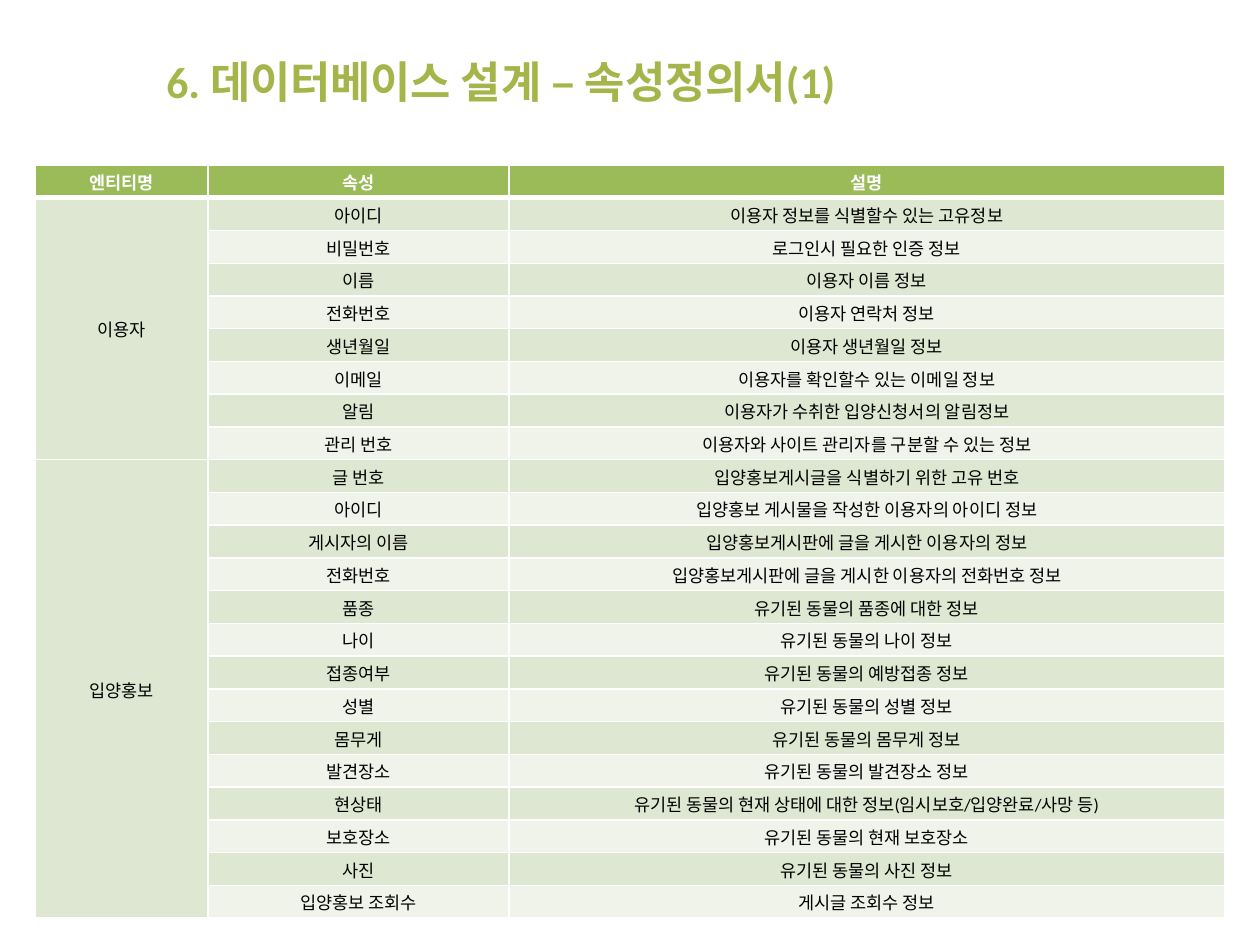
from lxml import etree
from pptx import Presentation
from pptx.dml.color import RGBColor
from pptx.enum.text import MSO_ANCHOR, PP_ALIGN
from pptx.oxml.ns import qn
from pptx.util import Inches, Pt

MIDDLE = MSO_ANCHOR.MIDDLE
LEFT, CENTER = PP_ALIGN.LEFT, PP_ALIGN.CENTER

OLIVE = RGBColor(0xA5, 0xB5, 0x4A)
GREEN = RGBColor(0x9B, 0xBB, 0x59)
BAND_DARK = RGBColor(0xDE, 0xE7, 0xD1)
BAND_LIGHT = RGBColor(0xEF, 0xF3, 0xEA)
WHITE = RGBColor(0xFF, 0xFF, 0xFF)
BLACK = RGBColor(0, 0, 0)

HEADERS = ("엔티티명", "속성", "설명")
ENTITIES = {
    "이용자": [
        ("아이디", "이용자 정보를 식별할수 있는 고유정보"),
        ("비밀번호", "로그인시 필요한 인증 정보"),
        ("이름", "이용자 이름 정보"),
        ("전화번호", "이용자 연락처 정보"),
        ("생년월일", "이용자 생년월일 정보"),
        ("이메일", "이용자를 확인할수 있는 이메일 정보"),
        ("알림", "이용자가 수취한 입양신청서의 알림정보"),
        ("관리 번호", "이용자와 사이트 관리자를 구분할 수 있는 정보"),
    ],
    "입양홍보": [
        ("글 번호", "입양홍보게시글을 식별하기 위한 고유 번호"),
        ("아이디", "입양홍보 게시물을 작성한 이용자의 아이디 정보"),
        ("게시자의 이름", "입양홍보게시판에 글을 게시한 이용자의 정보"),
        ("전화번호", "입양홍보게시판에 글을 게시한 이용자의 전화번호 정보"),
        ("품종", "유기된 동물의 품종에 대한 정보"),
        ("나이", "유기된 동물의 나이 정보"),
        ("접종여부", "유기된 동물의 예방접종 정보"),
        ("성별", "유기된 동물의 성별 정보"),
        ("몸무게", "유기된 동물의 몸무게 정보"),
        ("발견장소", "유기된 동물의 발견장소 정보"),
        ("현상태", "유기된 동물의 현재 상태에 대한 정보(임시보호/입양완료/사망 등)"),
        ("보호장소", "유기된 동물의 현재 보호장소"),
        ("사진", "유기된 동물의 사진 정보"),
        ("입양홍보 조회수", "게시글 조회수 정보"),
    ],
}


class SlideBuilder:
    """Holds the text style and the current slide."""

    font = "Calibri"
    title_size = Pt(25)
    table_size = Pt(10)

    def __init__(self, slide):
        self.slide = slide

    def add_text(self, frame, text, size, color, bold, align):
        para = frame.paragraphs[0]
        para.alignment = align
        span = para.add_run()
        span.text = text
        span.font.name = self.font
        span.font.size = size
        span.font.bold = bold
        span.font.color.rgb = color

    def title(self, text, left, top, width, height):
        box = self.slide.shapes.title
        box.left, box.top = Inches(left), Inches(top)
        box.width, box.height = Inches(width), Inches(height)
        box.text_frame.vertical_anchor = MIDDLE
        self.add_text(box.text_frame, text, self.title_size, OLIVE, True, LEFT)

    def table(self, left, top, widths, height, row_count):
        table = self.slide.shapes.add_table(
            row_count, len(widths), Inches(left), Inches(top),
            Inches(sum(widths)), Inches(height)).table
        for column, width in zip(table.columns, widths):
            column.width = Inches(width)
        return table

    def cell(self, cell, text, fill, color=BLACK, bold=False, bottom=1):
        cell.margin_left = cell.margin_right = cell.margin_top = Inches(0.01)
        cell.margin_bottom = 0
        cell.vertical_anchor = MIDDLE
        self.borders(cell, bottom)
        cell.fill.solid()
        cell.fill.fore_color.rgb = fill
        if text:
            self.add_text(cell.text_frame, text, self.table_size, color, bold, CENTER)

    def borders(self, cell, bottom):
        properties = cell._tc.get_or_add_tcPr()
        for side, points in (("L", 1), ("R", 1), ("T", 1), ("B", bottom)):
            line = etree.SubElement(properties, qn(f"a:ln{side}"), w=str(Pt(points)))
            solid = etree.SubElement(line, qn("a:solidFill"))
            etree.SubElement(solid, qn("a:srgbClr"), val=str(WHITE))


def main():
    deck = Presentation()
    deck.slide_width, deck.slide_height = Inches(10), Inches(7.5)
    page = SlideBuilder(deck.slides.add_slide(deck.slide_layouts[5]))

    # Title
    page.title("6. 데이터베이스 설계 – 속성정의서(1)", 1.22, 0.25, 8.28, 0.79)

    # Table header
    row_count = 1 + sum(len(attributes) for attributes in ENTITIES.values())
    table = page.table(0.28, 1.31, (1.37, 2.39, 5.68), 5.98, row_count)
    for column, header in enumerate(HEADERS):
        page.cell(table.cell(0, column), header, GREEN, WHITE, True, bottom=3)

    # Entities with their banded attribute rows
    row = 1
    for entity, attributes in ENTITIES.items():
        first = row
        for name, description in attributes:
            band = BAND_DARK if row % 2 else BAND_LIGHT
            page.cell(table.cell(row, 0), entity if row == first else "", BAND_DARK)
            page.cell(table.cell(row, 1), name, band)
            page.cell(table.cell(row, 2), description, band)
            row += 1
        table.cell(first, 0).merge(table.cell(row - 1, 0))

    deck.save("out.pptx")


if __name__ == "__main__":
    main()
